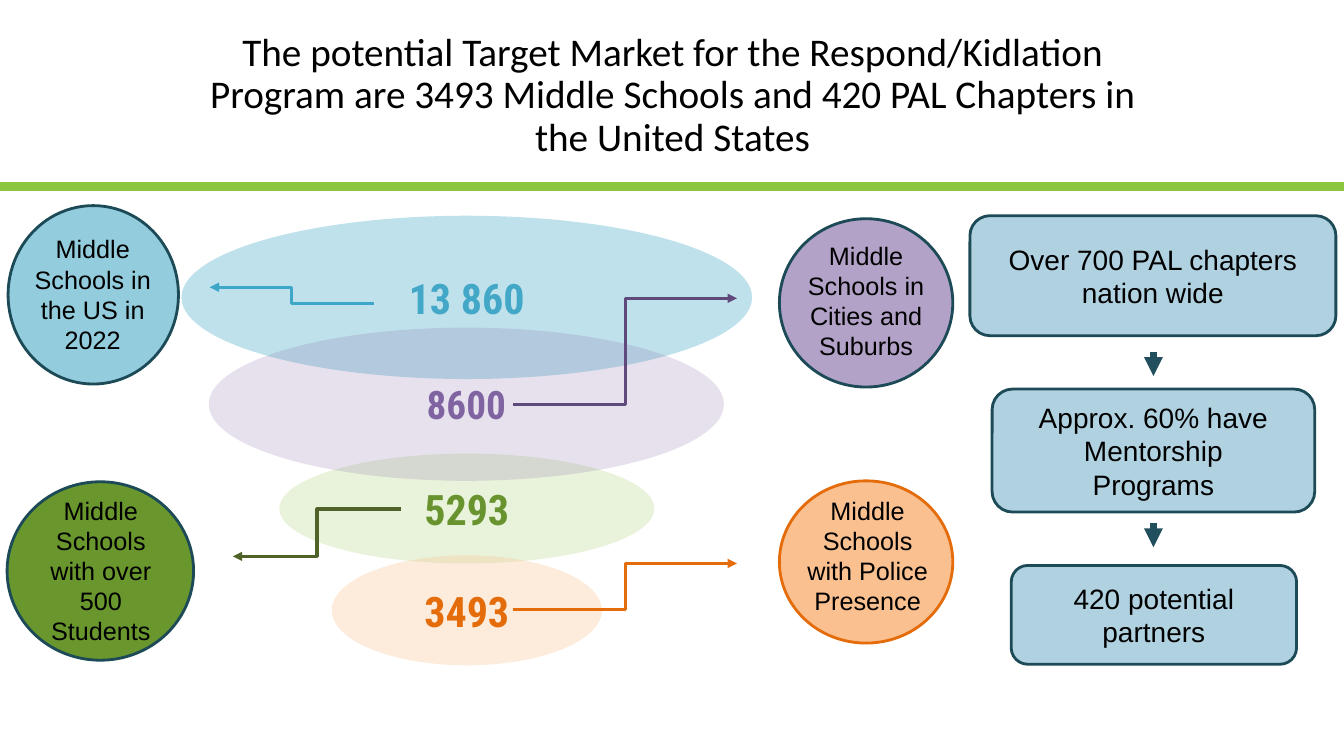
from lxml import etree
from pptx import Presentation
from pptx import util as u
from pptx.dml.color import RGBColor
from pptx.enum import shapes, text
from pptx.oxml.ns import qn

PX = 9144  # 100 px to the inch
KIND = shapes.MSO_SHAPE
BOX_FILL, DARK = "B0D1E0", "1D4A57"

prs = Presentation()
prs.slide_width, prs.slide_height = 1333 * PX, 750 * PX
s = prs.slides.add_slide(prs.slide_layouts[5])


def rgb(value):
    return RGBColor.from_string(value)


def write(sp, words, size, font="Arial", color="000000", bold=False,
          anchor=text.MSO_ANCHOR.MIDDLE, side=10, edge=5):
    tf = sp.text_frame
    tf.text = words
    tf.word_wrap = True
    tf.vertical_anchor = anchor
    tf.margin_left = tf.margin_right = side * PX
    tf.margin_top = tf.margin_bottom = edge * PX
    p = tf.paragraphs[0]
    p.alignment = text.PP_ALIGN.CENTER
    f = p.runs[0].font
    f.size, f.name, f.bold = u.Pt(size), font, bold
    f.color.rgb = rgb(color)


# Title
title = s.shapes.title
title.left, title.top, title.width, title.height = [v * PX for v in (189, 23, 956, 145)]
write(title, "The potential Target Market for the Respond/Kidlation Program are "
      "3493 Middle Schools and 420 PAL Chapters in the United States", 28, "Calibri")
title.text_frame.paragraphs[0].line_spacing = 0.9

# Funnel of translucent ellipses
funnel = [
    (180, 214, 566, 162, "8ECBDD", 56, "13 860", 30, "43A8C7"),
    (277, 450, 372, 109, "B9DB8B", 31, "5293", 30, "68932E"),
    (207, 325, 511, 152, "8064A2", 19, "8600", 28, "8064A2"),
    (329, 551, 268, 109, "FAC090", 31, "3493", 30, "E46C0A"),
]
for x, y, w, h, fill, alpha, number, size, color in funnel:
    sp = s.shapes.add_shape(KIND.OVAL, x * PX, y * PX, w * PX, h * PX)
    sp.shadow.inherit = False
    sp.fill.solid()
    sp.fill.fore_color.rgb = rgb(fill)
    clr = sp.fill._xPr.find(qn("a:solidFill"))[0]
    etree.SubElement(clr, qn("a:alpha")).set("val", str(alpha * 1000))
    sp.line.fill.background()
    write(sp, number, size, "Roboto Condensed", color, True, edge=10)

# Outlined circles and step boxes
outlined = [
    (KIND.OVAL, 8, 204, 169, 177, "93CDDD", DARK, None),
    (KIND.OVAL, 773, 477, 172, 161, "FAC090", "E46C0A", None),
    (KIND.OVAL, 773, 217, 172, 167, "B3A2C7", DARK, None),
    (KIND.OVAL, 7, 478, 185, 177, "69972D", DARK, None),
    (KIND.ROUNDED_RECTANGLE, 962, 214, 363, 119, BOX_FILL, DARK,
     "Over 700 PAL chapters nation wide"),
    (KIND.ROUNDED_RECTANGLE, 984, 386, 320, 122, BOX_FILL, DARK,
     "Approx. 60% have Mentorship Programs"),
    (KIND.ROUNDED_RECTANGLE, 1003, 561, 283, 98, BOX_FILL, DARK,
     "420 potential partners"),
]
for kind, x, y, w, h, fill, line, words in outlined:
    sp = s.shapes.add_shape(kind, x * PX, y * PX, w * PX, h * PX)
    sp.shadow.inherit = False
    sp.fill.solid()
    sp.fill.fore_color.rgb = rgb(fill)
    sp.line.color.rgb = rgb(line)
    sp.line.width = u.Pt(2)
    if words:
        write(sp, words, 20, side=26)

# Circle labels
labels = [
    (19, 227, 146, 131, "Middle Schools in the US in 2022"),
    (789, 486, 143, 131, "Middle Schools with Police Presence"),
    (790, 233, 138, 135, "Middle Schools in Cities and Suburbs"),
    (32, 486, 136, 162, "Middle Schools with over 500 Students"),
]
for x, y, w, h, words in labels:
    tb = s.shapes.add_textbox(x * PX, y * PX, w * PX, h * PX)
    write(tb, words, 18, anchor=text.MSO_ANCHOR.TOP)

# Title rule, elbow arrows and step arrows
ELBOW, STRAIGHT = shapes.MSO_CONNECTOR.ELBOW, shapes.MSO_CONNECTOR.STRAIGHT
lines = [
    (STRAIGHT, 0, 185, 1333, 185, "8CC63F", 6, False),
    (ELBOW, 371, 301, 208, 285, "3EA6C6", 2.25, True),
    (ELBOW, 398, 505, 231, 552, "4F6228", 2.25, True),
    (ELBOW, 509, 605, 731, 559, "E46C0A", 2.25, True),
    (ELBOW, 509, 401, 731, 296, "604A7B", 2.25, True),
    (STRAIGHT, 1144, 349, 1144, 373, "224F5D", 4.5, True),
    (STRAIGHT, 1144, 519, 1144, 543, "224F5D", 4.5, True),
]
for kind, x1, y1, x2, y2, color, width, arrow in lines:
    c = s.shapes.add_connector(kind, x1 * PX, y1 * PX, x2 * PX, y2 * PX)
    c.line.color.rgb = rgb(color)
    c.line.width = u.Pt(width)
    if arrow:
        etree.SubElement(c.line._get_or_add_ln(), qn("a:tailEnd")).set("type", "triangle")
    etree.SubElement(c._element.spPr, qn("a:effectLst"))

prs.save("out.pptx")
